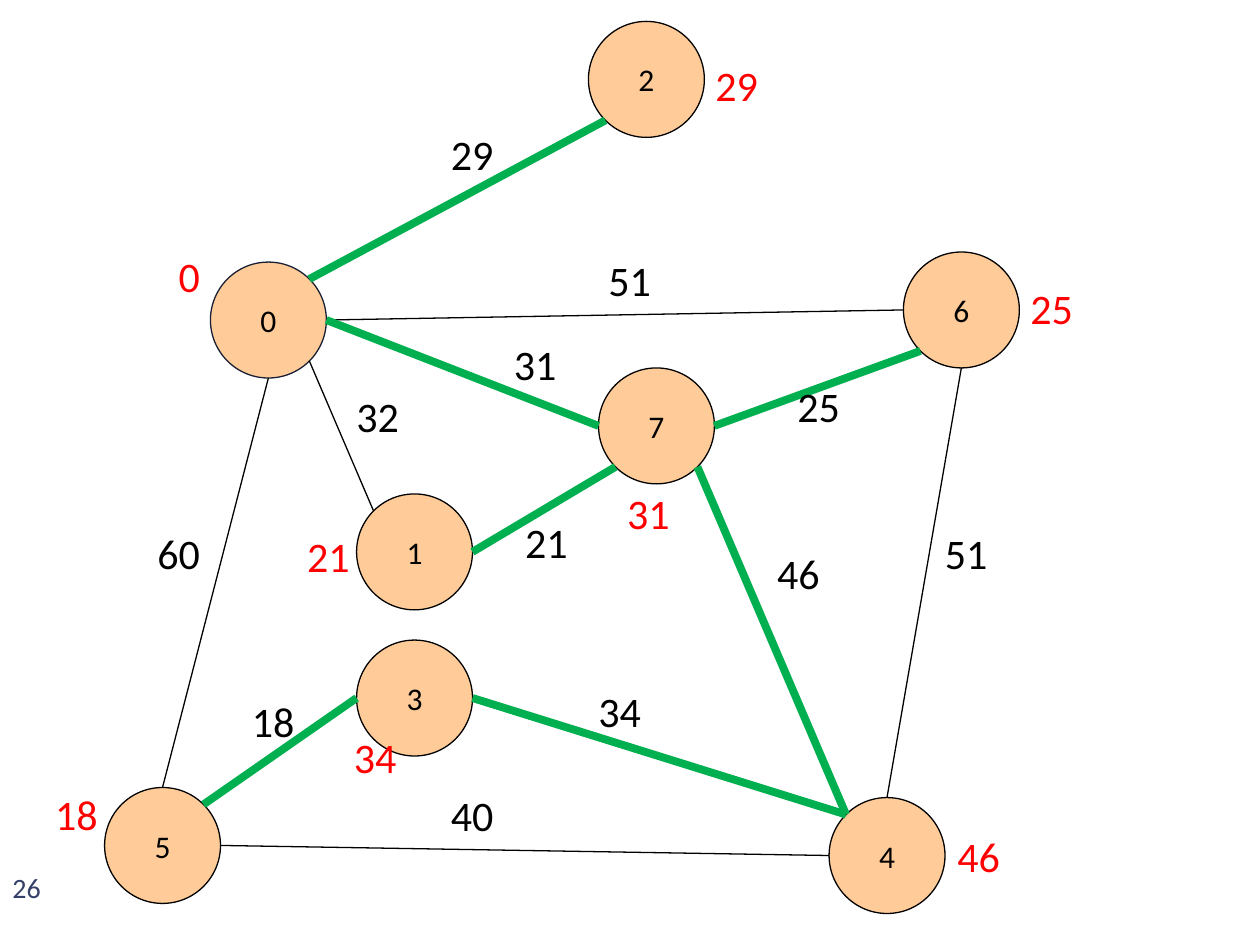
from math import cos, radians, sin

from lxml.etree import SubElement
from pptx import Presentation
from pptx.dml.color import RGBColor
from pptx.enum.shapes import MSO_CONNECTOR, MSO_SHAPE
from pptx.enum.text import MSO_ANCHOR, MSO_AUTO_SIZE, PP_ALIGN
from pptx.oxml.ns import qn
from pptx.util import Inches, Pt

COLORS = {"node": "FFCC99", "ink": "000000", "start": "1A2034",
          "tree": "00B050", "key": "FF0000", "number": "344068"}
FONT = "Calibri"
DIAMETER = 0.92
LABEL_HEIGHT = 0.5

# Vertices: name -> left and top of the circle
NODES = {"0": (1.67, 2.08), "4": (6.58, 6.33), "3": (2.83, 5.08), "5": (0.83, 6.25),
         "1": (2.83, 3.92), "7": (4.75, 2.92), "6": (7.17, 2), "2": (4.67, 0.17)}

# Points on a circle, as clockwise angles from the right
ANGLES = {"E": 0, "SE": 45, "S": 90, "SW": 135, "W": 180, "NW": 225, "N": 270, "NE": 315}

# Edges: from, side, to, side, in spanning tree, weight, left and top of the weight
EDGES = [
    ("0", "NE", "2", "SW", True, "29", 3.48, 0.97),
    ("0", "E", "6", "W", False, "51", 4.73, 1.97),
    ("0", "E", "7", "W", True, "31", 3.98, 2.64),
    ("0", "SE", "1", "NW", False, "32", 2.73, 3.05),
    ("0", "S", "5", "N", False, "60", 1.15, 4.14),
    ("5", "NE", "3", "W", True, "18", 1.9, 5.47),
    ("3", "E", "4", "NW", True, "34", 4.65, 5.39),
    ("5", "E", "4", "W", False, "40", 3.48, 6.22),
    ("1", "E", "7", "SW", True, "21", 4.07, 4.05),
    ("7", "E", "6", "SW", True, "25", 6.23, 2.97),
    ("7", "SE", "4", "NW", True, "46", 6.07, 4.3),
    ("6", "S", "4", "N", False, "51", 7.4, 4.14),
]

# Vertex keys: text, left, top
KEYS = [("0", 1.32, 1.94), ("29", 5.58, 0.42), ("25", 8.08, 2.19), ("46", 7.5, 6.54),
        ("18", 0.34, 6.21), ("21", 2.34, 4.16), ("34", 2.71, 5.76), ("31", 4.88, 3.82)]


def color(name):
    return RGBColor.from_string(COLORS[name])


def write(shape, text, size, ink):
    para = shape.text_frame.paragraphs[0]
    para.text = text
    para.font.name = FONT
    para.font.size = Pt(size)
    para.font.color.rgb = color(ink)
    return para


def add_node(page, name, left, top):
    circle = page.shapes.add_shape(MSO_SHAPE.OVAL, Inches(left), Inches(top),
                                   Inches(DIAMETER), Inches(DIAMETER))
    circle.shadow.inherit = False
    circle.fill.solid()
    circle.fill.fore_color.rgb = color("node")
    circle.line.color.rgb = color("start" if name == "0" else "ink")
    circle.line.width = Pt(0.75)
    circle.text_frame.word_wrap = False
    circle.text_frame.vertical_anchor = MSO_ANCHOR.MIDDLE
    write(circle, name, 18, "ink").alignment = PP_ALIGN.CENTER


def rim(name, side):
    """Point on a vertex's circle at the given side."""
    left, top = NODES[name]
    angle = radians(ANGLES[side])
    return (Inches(left + DIAMETER / 2 * (1 + cos(angle))),
            Inches(top + DIAMETER / 2 * (1 + sin(angle))))


def add_edge(page, begin, end, in_tree):
    edge = page.shapes.add_connector(MSO_CONNECTOR.STRAIGHT, *begin, *end)
    edge.line.color.rgb = color("tree" if in_tree else "ink")
    edge.line.width = Pt(4.5 if in_tree else 0.75)
    SubElement(edge._element.spPr, qn("a:effectLst"))


def add_label(page, text, left, top, ink):
    width = 0.2 + 0.17 * len(text)
    box = page.shapes.add_textbox(Inches(left), Inches(top),
                                  Inches(width), Inches(LABEL_HEIGHT))
    box.text_frame.word_wrap = False
    box.text_frame.auto_size = MSO_AUTO_SIZE.SHAPE_TO_FIT_TEXT
    write(box, text, 24, ink)


def main():
    deck = Presentation()
    deck.slide_width, deck.slide_height = Inches(10), Inches(7.5)
    page = deck.slides.add_slide(deck.slide_layouts[6])

    # Page number
    number = page.shapes.add_textbox(0, Inches(6.83), Inches(0.58), Inches(0.42))
    number.text_frame.word_wrap = True
    number.text_frame.vertical_anchor = MSO_ANCHOR.MIDDLE
    write(number, "26", 16, "number")

    # Graph
    for name, (left, top) in NODES.items():
        add_node(page, name, left, top)
    for start, start_side, stop, stop_side, in_tree, *_ in EDGES:
        add_edge(page, rim(start, start_side), rim(stop, stop_side), in_tree)

    # Edge weights and vertex keys
    for *_, weight, left, top in EDGES:
        add_label(page, weight, left, top, "ink")
    for text, left, top in KEYS:
        add_label(page, text, left, top, "key")

    deck.save("out.pptx")


if __name__ == "__main__":
    main()
